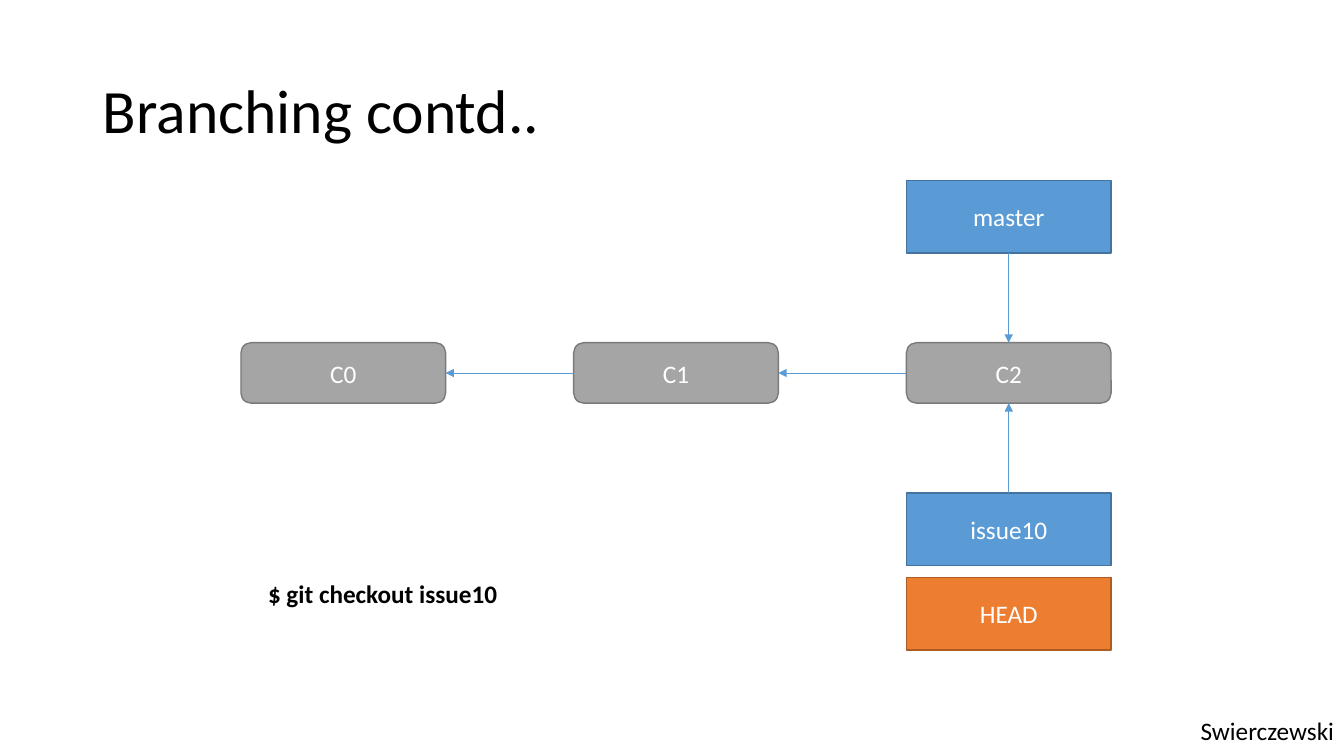
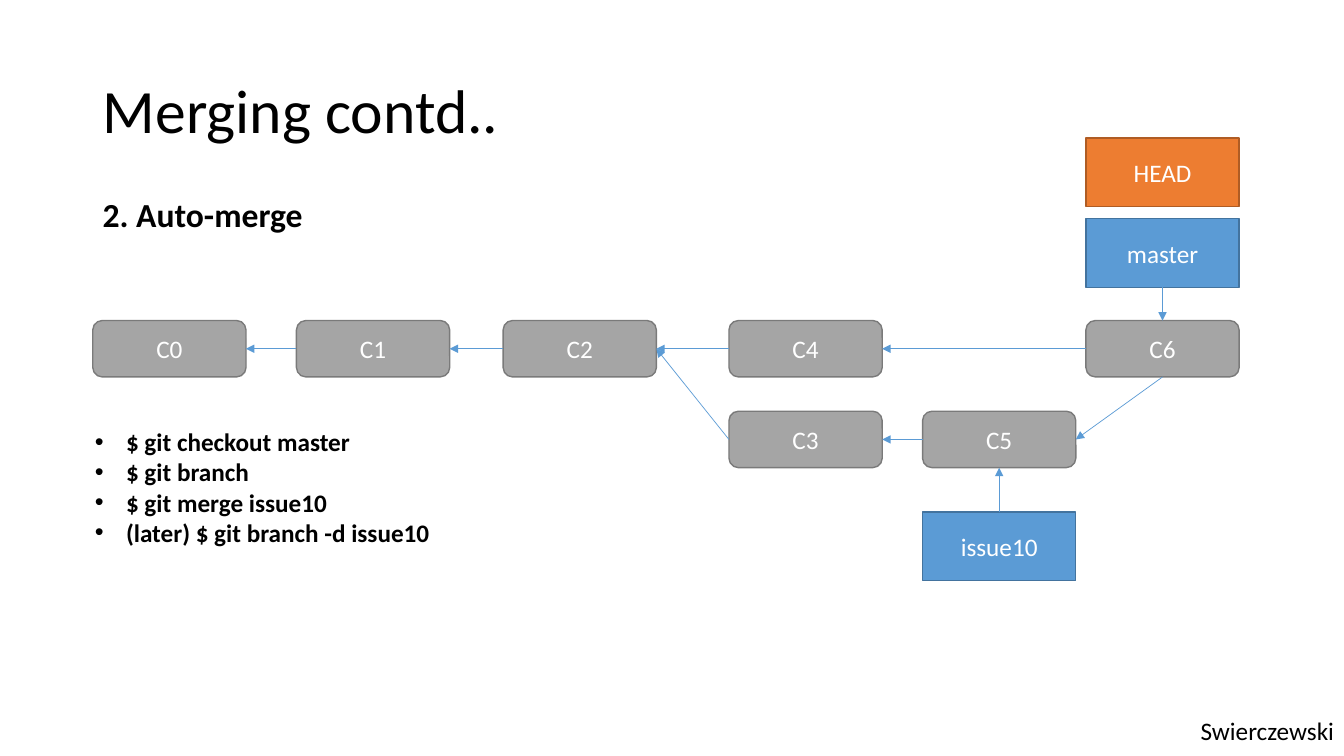
from lxml import etree
from pptx import Presentation
from pptx import util as u
from pptx.dml.color import RGBColor
from pptx.enum import shapes, text
from pptx.oxml import ns

BLACK = RGBColor(0x00, 0x00, 0x00)
WHITE = RGBColor(0xFF, 0xFF, 0xFF)
GREY, GREY_EDGE = RGBColor(0xA5, 0xA5, 0xA5), RGBColor(0x7A, 0x7A, 0x7A)
BLUE, BLUE_EDGE = RGBColor(0x5B, 0x9B, 0xD5), RGBColor(0x43, 0x73, 0x9E)
ORANGE, ORANGE_EDGE = RGBColor(0xED, 0x7D, 0x31), RGBColor(0xAF, 0x5C, 0x24)
FONT = "Calibri"
AUTHOR = "Swierczewski"

RECT = shapes.MSO_SHAPE.RECTANGLE
ROUND = shapes.MSO_SHAPE.ROUNDED_RECTANGLE
COMMIT = (ROUND, GREY, GREY_EDGE)
BRANCH = (RECT, BLUE, BLUE_EDGE)
HEAD = (RECT, ORANGE, ORANGE_EDGE)
TOP, LEFT, BOTTOM, RIGHT = range(4)
TITLE_ONLY, TITLE_AND_BODY = 5, 1


def place(sp, left, top, width, height):
    """Move and size a shape, in inches."""
    sp.left, sp.top = u.Inches(left), u.Inches(top)
    sp.width, sp.height = u.Inches(width), u.Inches(height)


def style_runs(p, size, color, bold=False):
    """Format every run of a paragraph."""
    for r in p.runs:
        r.font.name = FONT
        r.font.size = u.Pt(size)
        r.font.bold = bold
        r.font.color.rgb = color


def add_label(s, words, left, top, width, height, size=18, bold=False, wrap=False):
    """Add a black text box."""
    sp = s.shapes.add_textbox(*map(u.Inches, (left, top, width, height)))
    tf = sp.text_frame
    tf.word_wrap = wrap
    tf.text = words
    style_runs(tf.paragraphs[0], size, BLACK, bold)


def add_slide(prs, layout, title):
    """Add a slide with the shared title and author line."""
    s = prs.slides.add_slide(prs.slide_layouts[layout])
    sp = s.shapes.title
    place(sp, 0.92, 0.4, 11.5, 1.45)
    tf = sp.text_frame
    tf.text = title
    tf.vertical_anchor = text.MSO_ANCHOR.MIDDLE
    p = tf.paragraphs[0]
    p.alignment = text.PP_ALIGN.LEFT
    p.line_spacing = 0.9
    style_runs(p, 44, BLACK)
    add_label(s, AUTHOR, 11.81, 7.05, 1.54, 0.4)
    return s


def add_node(s, kind, words, left, top, width, height):
    """Add a commit, branch or HEAD box."""
    preset, fill, edge = kind
    sp = s.shapes.add_shape(preset, *map(u.Inches, (left, top, width, height)))
    sp.shadow.inherit = False
    sp.fill.solid()
    sp.fill.fore_color.rgb = fill
    sp.line.color.rgb = edge
    sp.line.width = u.Pt(1)
    tf = sp.text_frame
    tf.text = words
    tf.vertical_anchor = text.MSO_ANCHOR.MIDDLE
    p = tf.paragraphs[0]
    p.alignment = text.PP_ALIGN.CENTER
    style_runs(p, 18, WHITE)
    return sp


def add_arrow(s, start, start_side, end, end_side):
    """Join the sides of two boxes with an arrow."""
    cxn = s.shapes.add_connector(shapes.MSO_CONNECTOR.STRAIGHT, 0, 0, 0, 0)
    cxn.begin_connect(start, start_side)
    cxn.end_connect(end, end_side)
    cxn.line.color.rgb = BLUE
    cxn.line.width = u.Pt(0.5)
    ln = cxn.line._get_or_add_ln()
    etree.SubElement(ln, ns.qn("a:tailEnd"), type="triangle")
    etree.SubElement(cxn._element.spPr, ns.qn("a:effectLst"))


def fill_commands(sp, commands):
    """Fill the body placeholder with a bulleted command list."""
    place(sp, 0.84, 4.18, 7.15, 1.31)
    tf = sp.text_frame
    tf.auto_size = text.MSO_AUTO_SIZE.NONE
    tf.text = "\n".join(commands)
    for p in tf.paragraphs:
        pPr = p._p.get_or_add_pPr()
        pPr.set("marL", str(u.Inches(0.31)))
        pPr.set("indent", str(-u.Inches(0.31)))
        etree.SubElement(pPr, ns.qn("a:buFont"), typeface="Arial")
        etree.SubElement(pPr, ns.qn("a:buChar"), char="•")
        p.space_before = u.Pt(0)
        style_runs(p, 18, BLACK, True)


def add_branching(prs):
    """Build the slide on checking out a branch."""
    s = add_slide(prs, TITLE_ONLY, "Branching contd..")
    width, first, step = 2.03, 2.39, 3.3
    last = first + 2 * step
    c0, c1, c2 = [add_node(s, COMMIT, f"C{i}", first + i * step, 3.4, width, 0.6)
                  for i in range(3)]
    master, issue, _ = [
        add_node(s, kind, words, last, top, width, 0.72)
        for kind, words, top in ((BRANCH, "master", 1.79),
                                 (BRANCH, "issue10", 4.89),
                                 (HEAD, "HEAD", 5.73))]
    for link in ((master, BOTTOM, c2, TOP), (issue, TOP, c2, BOTTOM),
                 (c2, LEFT, c1, RIGHT), (c1, LEFT, c0, RIGHT)):
        add_arrow(s, *link)
    add_label(s, "$ git checkout issue10", 2.56, 5.69, 2.49, 0.4, bold=True)


def add_merging(prs):
    """Build the slide on automatic merging."""
    s = add_slide(prs, TITLE_AND_BODY, "Merging contd..")
    add_label(s, "2. Auto-merge", 0.92, 1.87, 3.54, 0.5, 24, True, True)
    width, main_row, side_row = 1.52, 3.18, 4.08
    c0, c1, c2, c3, c4, c5, c6 = [
        add_node(s, COMMIT, f"C{i}", left, top, width, 0.56)
        for i, (left, top) in enumerate((
            (0.92, main_row), (2.94, main_row), (4.99, main_row),
            (7.23, side_row), (7.23, main_row), (9.15, side_row),
            (10.77, main_row)))]
    _, master, issue = [
        add_node(s, kind, words, left, top, width, 0.68)
        for kind, words, left, top in ((HEAD, "HEAD", 10.77, 1.37),
                                       (BRANCH, "master", 10.77, 2.17),
                                       (BRANCH, "issue10", 9.15, 5.08))]
    for child, parent in ((c1, c0), (c2, c1), (c4, c2), (c3, c2), (c5, c3), (c6, c4)):
        add_arrow(s, child, LEFT, parent, RIGHT)
    for link in ((c6, BOTTOM, c5, RIGHT), (issue, TOP, c5, BOTTOM),
                 (master, BOTTOM, c6, TOP)):
        add_arrow(s, *link)
    fill_commands(s.placeholders[1], (
        "$ git checkout master", "$ git branch", "$ git merge issue10",
        "(later) $ git branch -d issue10"))


def main():
    """Build and save the presentation."""
    prs = Presentation()
    prs.slide_width, prs.slide_height = u.Inches(13.33), u.Inches(7.5)
    add_branching(prs)
    add_merging(prs)
    prs.save("out.pptx")


if __name__ == "__main__":
    main()
